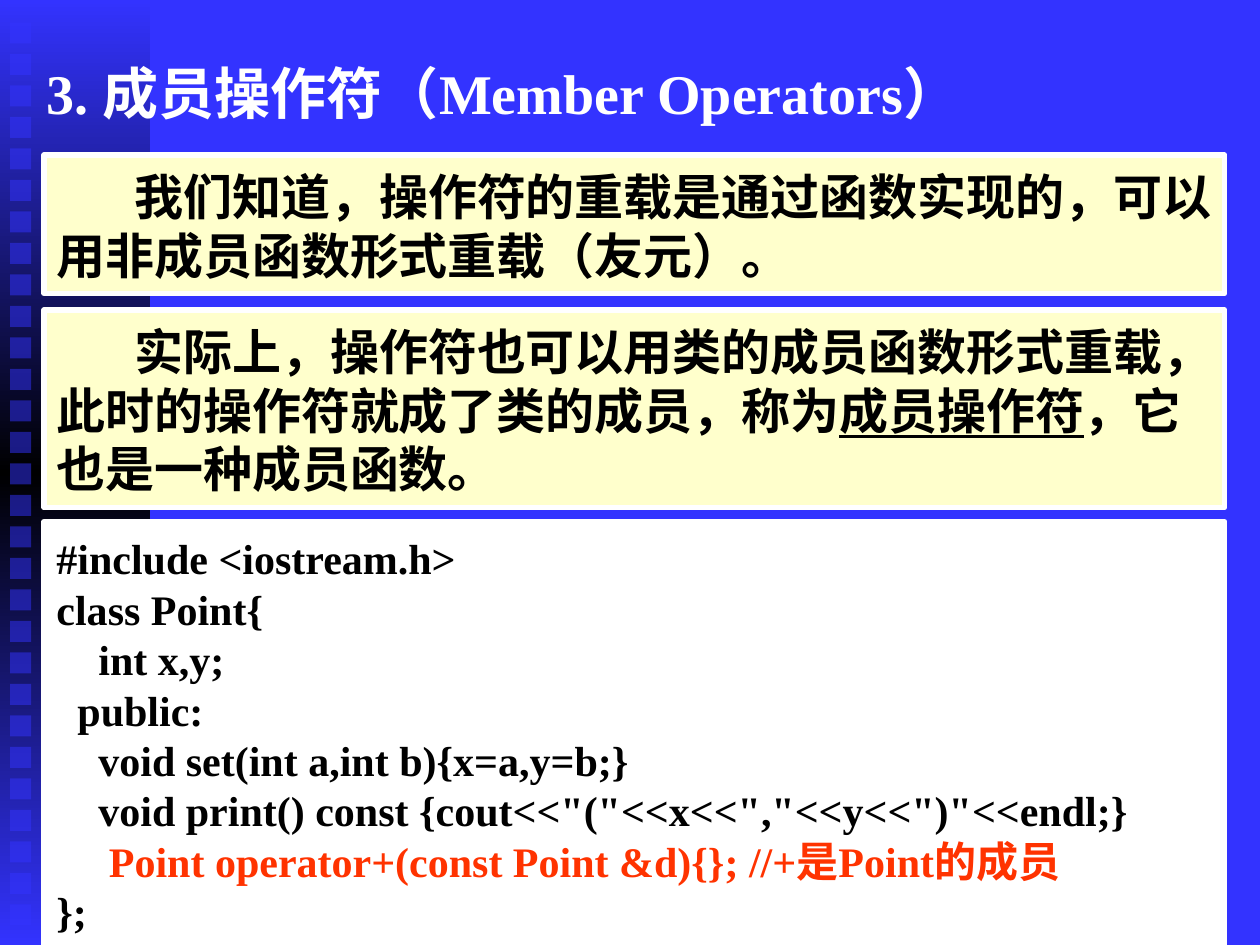
"""Build the slide that introduces member operators in C++."""
from dataclasses import dataclass

from lxml.etree import SubElement
from pptx import Presentation
from pptx.dml.color import RGBColor as Rgb
from pptx.enum.shapes import MSO_SHAPE as Shape
from pptx.enum.text import MSO_ANCHOR as Anchor, MSO_AUTO_SIZE as AutoSize, PP_ALIGN as Align
from pptx.oxml import parse_xml
from pptx.oxml.ns import nsdecls, qn
from pptx.util import Inches, Pt


@dataclass(frozen=True)
class Theme:
    font: str = "Times New Roman"
    blue: str = "3333FF"
    black: str = "000000"
    white: str = "FFFFFF"
    cream: str = "FFFFCC"
    red: str = "FF3300"
    title_size: int = 32
    body_size: int = 28
    code_size: int = 24


theme = Theme()


def write(para, text, size, color=theme.black, underline=None):
    span = para.add_run()
    span.text = text
    span.font.name = theme.font
    span.font.size = Pt(size)
    span.font.bold = True
    span.font.underline = underline
    span.font.color.rgb = Rgb.from_string(color)


def add_box(shapes, left, top, width, height, fill):
    box = shapes.add_shape(Shape.RECTANGLE, int(left), int(top), int(width), int(height))
    box.shadow.inherit = False
    box.fill.solid()
    box.fill.fore_color.rgb = Rgb.from_string(fill)
    box.line.fill.background()
    return box


deck = Presentation()
deck.slide_width, deck.slide_height = Inches(10), Inches(7.5)
cell = deck.slide_width / 40

page = deck.slides.add_slide(deck.slide_layouts[5])
page.background.fill.solid()
page.background.fill.fore_color.rgb = Rgb.from_string(theme.blue)

side = page.shapes.add_group_shape()
band = add_box(side.shapes, 0, 0, 4.76 * cell, deck.slide_height, theme.black)
solid = band._element.spPr.find(qn("a:solidFill"))
stops = ((0, theme.blue), (50, theme.black), (100, theme.blue))
stop_xml = "".join(
    f'<a:gs pos="{share * 1000}"><a:srgbClr val="{color}"/></a:gs>' for share, color in stops
)
gradient = parse_xml(
    f'<a:gradFill {nsdecls("a")} rotWithShape="1"><a:gsLst>{stop_xml}</a:gsLst>'
    '<a:lin ang="5400000" scaled="1"/></a:gradFill>'
)
band._element.spPr.replace(solid, gradient)

for row in range(29):
    square = add_box(
        side.shapes, 0.32 * cell, (0.71 + row) * cell, 0.67 * cell, 0.67 * cell, theme.blue
    )
    color = square._element.spPr.find(qn("a:solidFill")).find(qn("a:srgbClr"))
    SubElement(color, qn("a:alpha"), val="50000")

title = page.shapes.title
page.shapes._spTree.append(title._element)
title.left, title.top = int(1.08 * cell), int(1.12 * cell)
title.width, title.height = int(36.84 * cell), int(3.64 * cell)
title.text_frame.auto_size = AutoSize.NONE
title.text_frame.vertical_anchor = Anchor.MIDDLE
heading = title.text_frame.paragraphs[0]
heading.alignment = Align.LEFT
write(heading, "3. 成员操作符（Member Operators）", theme.title_size, theme.white)

body = {"size": theme.body_size}
code = {"size": theme.code_size}
panels = [
    (4.92, 4.4, theme.cream, 0.62, body, [
        [("我们知道，操作符的重载是通过函数实现的，可以用非成员函数形式重载（友元）。", {})],
    ]),
    (9.84, 6.28, theme.cream, 0.62, body, [
        [
            ("实际上，操作符也可以用类的成员函数形式重载，此时的操作符就成了类的成员，称为", {}),
            ("成员操作符", {"underline": True}),
            ("，它也是一种成员函数。", {}),
        ],
    ]),
    (16.56, 13.44, theme.white, 0, code, [
        [("#include <iostream.h>", {})],
        [("class Point{", {})],
        [("    int x,y;", {})],
        [("  public:", {})],
        [("    void set(int a,int b){x=a,y=b;}", {})],
        [('    void print() const {cout<<"("<<x<<","<<y<<")"<<endl;}', {})],
        [
            ("     ", {}),
            ("Point operator+(const Point &d){}; //+是Point的成员", {"color": theme.red}),
        ],
        [("};", {})],
    ]),
]

for top, height, fill, indent, style, lines in panels:
    panel = add_box(page.shapes, 1.4 * cell, top * cell, 37.48 * cell, height * cell, fill)
    panel.line.color.rgb = Rgb.from_string(theme.white)
    panel.line.width = Pt(3)
    frame = panel.text_frame
    frame.word_wrap = True
    frame.vertical_anchor = Anchor.TOP
    frame.margin_top = Inches(0.09)
    for number, spans in enumerate(lines):
        para = frame.add_paragraph() if number else frame.paragraphs[0]
        para.alignment = Align.LEFT
        para._p.get_or_add_pPr().set("indent", str(Inches(indent)))
        for text, accent in spans:
            write(para, text, **style, **accent)

deck.save("out.pptx")
